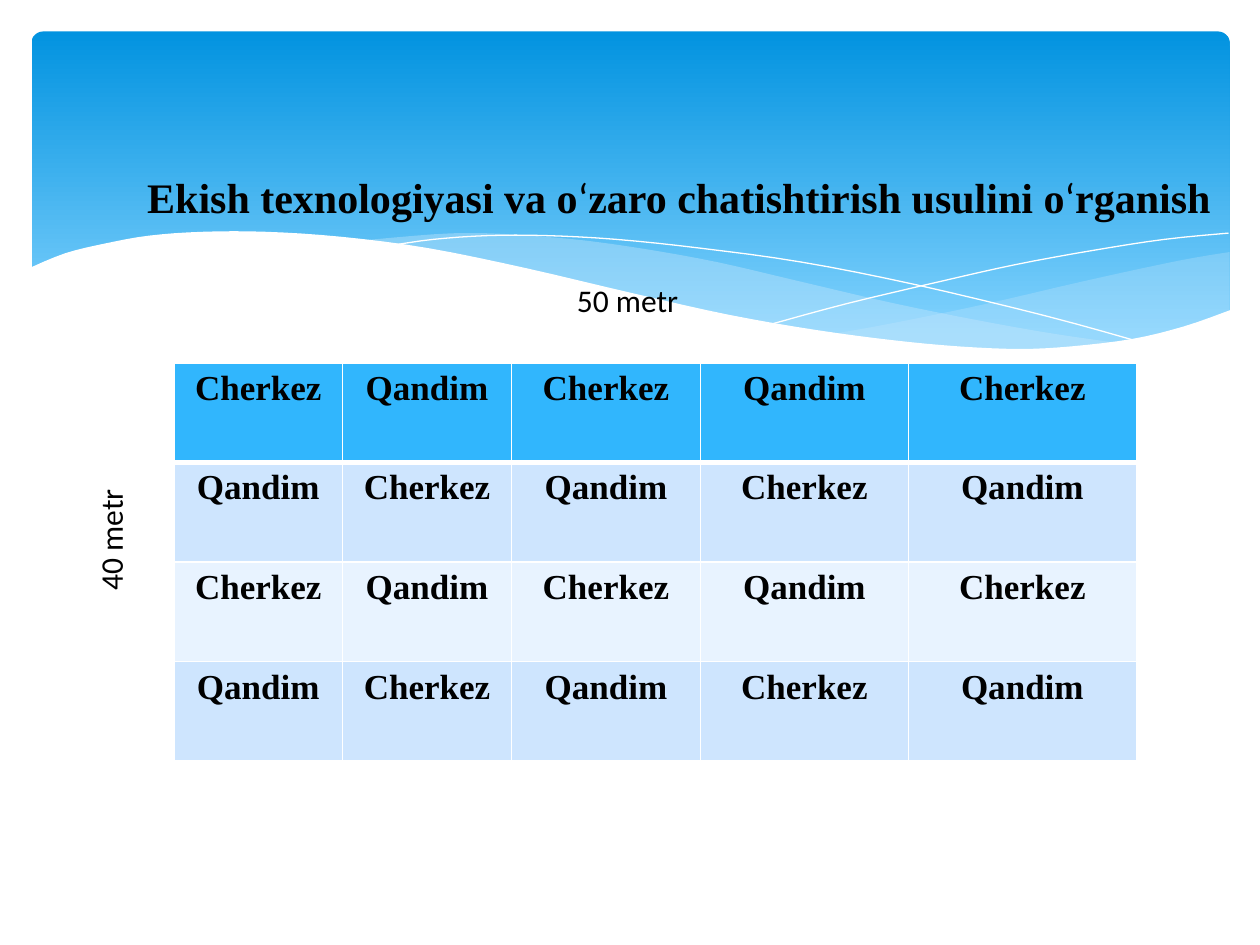
"""Build a slide with a planting scheme table under a wavy blue banner."""
import lxml.etree
import pptx
import pptx.dml.color
import pptx.enum.shapes
import pptx.enum.text
import pptx.oxml.ns
import pptx.util

COLORS = {
    "sky_top": "0293E0", "sky_bottom": "83D3FE", "wave": "C6E7FC", "white": "FFFFFF",
    "header": "31B6FD", "odd_row": "CEE5FE", "even_row": "E8F3FF", "text": "000000",
}
SERIF, SANS = "Times New Roman", "Calibri"
WIDTH, HEIGHT = 10, 7.5

PLANTS = ("Cherkez", "Qandim")
ROW_FILLS = ("header", "odd_row", "even_row", "odd_row")
COLUMN_WIDTHS = (1.34, 1.34, 1.5, 1.65, 1.81)
ROW_HEIGHT = 0.79
TABLE_LEFT, TABLE_TOP = 1.38, 2.88

TITLE = ("Ekish texnologiyasi va o", "ʻ", "zaro chatishtirish usulini o", "ʻ", "rganish")
LABELS = (("50 metr", 4.48, 2.18, 0), ("40 metr", 0.35, 4.06, 270))

WAVES = (
    {"fill": "wave", "alpha": 29, "edges": (
        ((9.76, 2), (9.35, 2.07), (8.61, 2.23), (7.79, 2.42), (7.06, 2.57), (6.61, 2.65)),
        ((6.61, 2.65), (7.05, 2.71), (7.57, 2.76), (8.03, 2.78), (8.54, 2.76),
         (8.97, 2.7), (9.35, 2.62), (9.76, 2.47)))},
    {"fill": "wave", "alpha": 40, "edges": (
        ((8.93, 2.73), (8.37, 2.65), (7.75, 2.54), (7.06, 2.4), (6.29, 2.22), (5.69, 2.08),
         (5.14, 1.98), (4.65, 1.91), (4.2, 1.87), (3.8, 1.85), (3.44, 1.86), (2.86, 1.91)),
        ((2.86, 1.91), (3.42, 1.99), (4.04, 2.11), (4.49, 2.22), (5.3, 2.4), (6.01, 2.55),
         (6.65, 2.66), (7.22, 2.74), (7.73, 2.77), (8.18, 2.78), (8.57, 2.77), (8.93, 2.73)))},
    {"line": "white", "edges": (
        ((3.09, 1.95), (3.44, 1.9), (3.87, 1.87), (4.33, 1.87), (4.89, 1.9), (5.56, 1.97),
         (6.36, 2.08), (7.27, 2.26), (8.31, 2.51), (9.07, 2.72)),)},
    {"line": "white", "edges": (
        ((6.13, 2.57), (6.72, 2.41), (7.48, 2.23), (8.06, 2.1), (8.66, 1.99),
         (9.24, 1.9), (9.75, 1.85)),)},
    {"fill": "white", "edges": (
        ((9.77, 2.46), (9.4, 2.59), (8.99, 2.69), (8.5, 2.75), (8.09, 2.77), (7.61, 2.75),
         (7.08, 2.7), (6.48, 2.62), (5.79, 2.5), (5.03, 2.33), (4.18, 2.13), (3.4, 1.97),
         (2.71, 1.88), (2.11, 1.84), (1.61, 1.84), (1.19, 1.87), (0.85, 1.93),
         (0.52, 2.01), (0.23, 2.13)),
        ((0.23, 3.29), (9.77, 3.29)))},
)


def color(name):
    return pptx.dml.color.RGBColor.from_string(COLORS[name])


def inches(*values):
    return [pptx.util.Inches(value) for value in values]


def smooth(knots, steps=4):
    points = [knots[0]]
    for i in range(len(knots) - 1):
        before, start, end = knots[max(i - 1, 0)], knots[i], knots[i + 1]
        after = knots[min(i + 2, len(knots) - 1)]
        for t in (step / steps for step in range(1, steps + 1)):
            points.append(tuple(
                (2 * b + (c - a) * t + (2 * a - 5 * b + 4 * c - d) * t ** 2
                 + (3 * b - a - 3 * c + d) * t ** 3) / 2
                for a, b, c, d in zip(before, start, end, after)))
    return points


def add_banner(page):
    banner = page.shapes.add_shape(
        pptx.enum.shapes.MSO_SHAPE.ROUNDED_RECTANGLE, *inches(0.25, 0.25, 9.51, 2.7))
    banner.adjustments[0] = 0.034
    banner.shadow.inherit = False
    banner.line.fill.background()
    banner.fill.gradient()
    banner.fill.gradient_angle = 270
    for stop, position, name in zip(
            banner.fill.gradient_stops, (0, 0.9), ("sky_top", "sky_bottom")):
        stop.position = position
        stop.color.rgb = color(name)


def add_wave(page, wave):
    points = [inches(*point) for edge in wave["edges"] for point in smooth(edge)]
    builder = page.shapes.build_freeform(*points[0])
    builder.add_line_segments(points[1:], close="fill" in wave)
    shape = builder.convert_to_shape()
    shape.shadow.inherit = False
    if "line" in wave:
        shape.fill.background()
        shape.line.color.rgb = color(wave["line"])
        shape.line.width = pptx.util.Pt(0)
        return
    shape.line.fill.background()
    shape.fill.solid()
    shape.fill.fore_color.rgb = color(wave["fill"])
    if "alpha" in wave:
        tint = shape.fill._xPr.find(".//" + pptx.oxml.ns.qn("a:srgbClr"))
        lxml.etree.SubElement(
            tint, pptx.oxml.ns.qn("a:alpha"), val=str(wave["alpha"] * 1000))


def set_font(font, name, size, bold=False):
    font.name, font.size, font.bold = name, pptx.util.Pt(size), bold
    font.color.rgb = color("text")


def set_borders(cell, widths):
    properties = cell._tc.get_or_add_tcPr()
    for index, (side, width) in enumerate(widths.items()):
        border = lxml.etree.Element(
            pptx.oxml.ns.qn("a:ln" + side), w=str(pptx.util.Pt(width)))
        fill = lxml.etree.SubElement(border, pptx.oxml.ns.qn("a:solidFill"))
        lxml.etree.SubElement(fill, pptx.oxml.ns.qn("a:srgbClr"), val=COLORS["white"])
        properties.insert(index, border)


def add_scheme(page):
    rows, columns = len(ROW_FILLS), len(COLUMN_WIDTHS)
    table = page.shapes.add_table(rows, columns, *inches(
        TABLE_LEFT, TABLE_TOP, sum(COLUMN_WIDTHS), rows * ROW_HEIGHT)).table
    for column, width in zip(table.columns, COLUMN_WIDTHS):
        column.width = pptx.util.Inches(width)
    for r, fill in enumerate(ROW_FILLS):
        table.rows[r].height = pptx.util.Inches(ROW_HEIGHT)
        for c in range(columns):
            cell = table.cell(r, c)
            cell.text = PLANTS[(r + c) % 2]
            cell.fill.solid()
            cell.fill.fore_color.rgb = color(fill)
            para = cell.text_frame.paragraphs[0]
            para.alignment = pptx.enum.text.PP_ALIGN.CENTER
            set_font(para.font, SERIF, 20, True)
            set_borders(cell, {"L": 1, "R": 1, "T": 3 if r == 1 else 1, "B": 3 if r == 0 else 1})


def add_text_box(page, left, top, width, height, wrap):
    box = page.shapes.add_textbox(*inches(left, top, width, height))
    box.text_frame.word_wrap = wrap
    box.text_frame.auto_size = pptx.enum.text.MSO_AUTO_SIZE.SHAPE_TO_FIT_TEXT
    return box, box.text_frame.paragraphs[0]


def main():
    deck = pptx.Presentation()
    deck.slide_width, deck.slide_height = inches(WIDTH, HEIGHT)
    page = deck.slides.add_slide(deck.slide_layouts[6])
    add_banner(page)
    for wave in WAVES:
        add_wave(page, wave)
    add_scheme(page)
    for text, left, top, rotation in LABELS:
        box, para = add_text_box(page, left, top, 1.05, 0.4, False)
        box.rotation = rotation
        para.text = text
        set_font(para.font, SANS, 18)
    box, para = add_text_box(page, 1.07, 1.31, 9.85, 0.5, True)
    for text in TITLE:
        span = para.add_run()
        span.text = text
        is_letter_mark = text == "ʻ"
        set_font(span.font, SANS if is_letter_mark else SERIF, 24, not is_letter_mark)
    deck.save("out.pptx")


if __name__ == "__main__":
    main()
